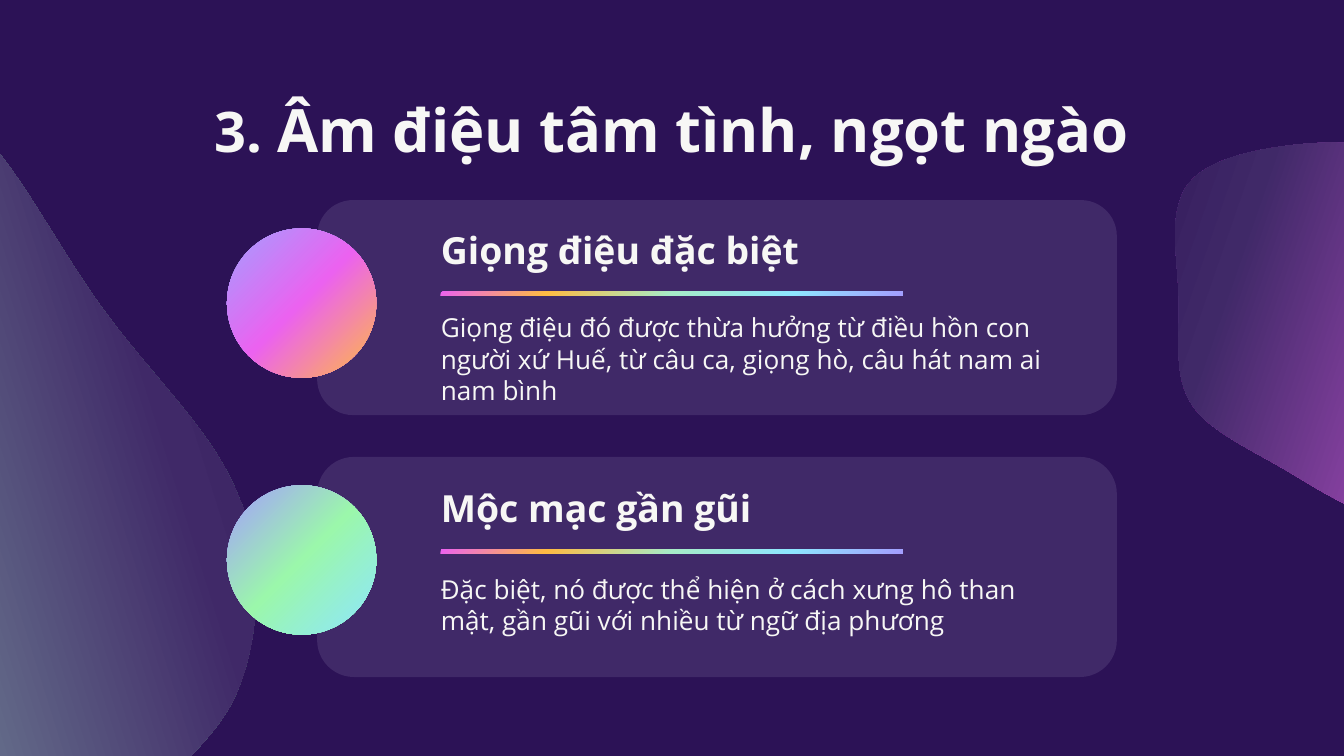
from math import cos, radians, sin

from lxml import etree
from pptx import Presentation
from pptx.dml.color import RGBColor
from pptx.enum.shapes import MSO_SHAPE
from pptx.enum.text import MSO_ANCHOR, MSO_AUTO_SIZE, PP_ALIGN
from pptx.oxml.ns import qn
from pptx.util import Pt

ROUNDED, OVAL, RECT = MSO_SHAPE.ROUNDED_RECTANGLE, MSO_SHAPE.OVAL, MSO_SHAPE.RECTANGLE
TOP, BOTTOM = MSO_ANCHOR.TOP, MSO_ANCHOR.BOTTOM
CENTER = PP_ALIGN.CENTER
NO_AUTOFIT = MSO_AUTO_SIZE.NONE

FONT = "Open Sans"
NIGHT, PLUM, PAPER = "2C1256", "402968", "F7F7F5"
RAINBOW = [(0, "EB62F0"), (23, "FFBB43"), (50, "A7ECC8"), (76, "8EE6FF"), (100, "A49EFF")]
SUNSET = [(0, "A49EFF"), (50, "EB62F0"), (100, "FFBB43")]
MEADOW = [(0, "A49EFF"), (50, "9BF7AB"), (100, "8EE6FF")]

LEFT_BLOB = [
    (1.82, 3.81), (1.81, 3.78), (1.8, 3.75), (1.78, 3.71), (1.59, 3.21), (1.15, 2.83),
    (0.75, 2.28), (0.36, 1.74), (0.02, 1.02), (-0.28, 0.91), (-0.59, 0.8), (-0.86, 1.29),
    (-1.13, 1.64), (-1.41, 1.98), (-1.68, 2.16), (-1.9, 2.51), (-2.11, 2.86), (-2.26, 3.37),
    (-2.25, 3.98), (-2.25, 4.33), (-2.19, 4.71), (-2.09, 5.05), (-2, 5.31), (-1.89, 5.55),
    (-1.75, 5.73), (-1.42, 6.14), (-0.94, 6.26), (-0.49, 6.63), (-0.04, 7), (0.37, 7.63),
    (0.59, 7.55), (0.81, 7.47), (0.85, 6.67), (1.03, 6.2), (1.21, 5.73), (1.53, 5.6),
    (1.73, 5.22), (1.91, 4.86), (1.97, 4.3), (1.82, 3.81)]
RIGHT_BLOB = [
    (11.45, 3.07), (11.48, 2.99), (11.5, 2.91), (11.5, 2.82), (11.51, 2.57), (11.38, 2.32),
    (11.29, 2.08), (11.19, 1.85), (11.12, 1.62), (10.96, 1.45), (10.81, 1.28), (10.58, 1.17),
    (10.33, 1.11), (10.08, 1.05), (9.82, 1.05), (9.54, 1.09), (9.25, 1.13), (8.94, 1.21),
    (8.82, 1.4), (8.8, 1.43), (8.79, 1.46), (8.78, 1.49), (8.71, 1.68), (8.76, 1.94),
    (8.77, 2.2), (8.78, 2.49), (8.73, 2.77), (8.85, 2.98), (8.96, 3.18), (9.24, 3.31),
    (9.52, 3.47), (9.8, 3.63), (10.07, 3.83), (10.36, 3.85), (10.64, 3.87), (10.93, 3.73),
    (11.15, 3.53), (11.29, 3.4), (11.4, 3.24), (11.45, 3.07)]


def color(hex_value):
    return RGBColor.from_string(hex_value)


def paint(shape, fill, angle=45):
    shape.shadow.inherit = False
    shape.line.fill.background()
    if isinstance(fill, str):
        shape.fill.solid()
        shape.fill.fore_color.rgb = color(fill)
        return
    shape.fill.gradient()
    gradient = shape._element.spPr.find(qn("a:gradFill"))
    stops = gradient.find(qn("a:gsLst"))
    for stop in list(stops):
        stops.remove(stop)
    for percent, hex_value in fill:
        stop = etree.SubElement(stops, qn("a:gs"), pos=str(percent * 1000))
        etree.SubElement(stop, qn("a:srgbClr"), val=hex_value)
    gradient.find(qn("a:lin")).set("ang", str(angle * 60000))


def place(shape, box):
    shape.left, shape.top, shape.width, shape.height = map(Pt, box)


def add_figure(slide, kind, box, fill):
    figure = slide.shapes.add_shape(kind, *map(Pt, box))
    paint(figure, fill)
    return figure


def write(holder, text, size, bold=False, anchor=TOP):
    frame = holder.text_frame
    frame.word_wrap = True
    frame.auto_size = NO_AUTOFIT
    frame.vertical_anchor = anchor
    frame.margin_left = frame.margin_right = Pt(7.2)
    frame.margin_top = frame.margin_bottom = Pt(7.2)
    paragraph = frame.paragraphs[0]
    paragraph.text = text
    font = paragraph.font
    font.name, font.size, font.bold = FONT, Pt(size), bold
    font.color.rgb = color(PAPER)
    return paragraph


def add_blob(slide, box, knots, rotation, glow, angle):
    left, top, width, height = box
    center_x, center_y = left + width / 2, top + height / 2
    turn = radians(-rotation)

    def upright(x, y):
        dx, dy = x * 72 - center_x, y * 72 - center_y
        return (width / 2 + dx * cos(turn) - dy * sin(turn),
                height / 2 + dx * sin(turn) + dy * cos(turn))

    outline = [upright(*knot) for knot in knots]
    builder = slide.shapes.build_freeform(*outline[0], scale=Pt(1))
    builder.add_line_segments(outline[3::3], close=True)
    blob = builder.convert_to_shape()
    place(blob, box)
    blob.rotation = rotation

    contour = blob._element.spPr.find(".//" + qn("a:path"))
    contour.set("w", str(Pt(width)))
    contour.set("h", str(Pt(height)))
    for segment in list(contour):
        contour.remove(segment)

    def add_segment(tag, points=()):
        segment = etree.SubElement(contour, qn(tag))
        for x, y in points:
            etree.SubElement(segment, qn("a:pt"), x=str(Pt(x)), y=str(Pt(y)))

    add_segment("a:moveTo", outline[:1])
    for start in range(1, len(outline), 3):
        add_segment("a:cubicBezTo", outline[start:start + 3])
    add_segment("a:close")
    paint(blob, [(0, glow), (71, PLUM), (100, NIGHT)], angle)


def add_title(slide, box, number, phrase):
    title = slide.shapes.title
    place(title, box)
    paragraph = write(title, number, 32, bold=True)
    paragraph.alignment = CENTER
    paragraph.runs[0].font.size = Pt(30)
    paragraph.add_run().text = phrase


def add_card(slide, box, heading, body, drop, body_offset, body_width, orb_fill):
    left, top, _, _ = box
    add_figure(slide, ROUNDED, box, PLUM).adjustments[0] = 0.167
    add_figure(slide, OVAL, (left - 48.3, top + 15.2, 80, 80), orb_fill)
    heading_box = (left + 59.2, top + 8.2 + drop, 316, 37.4)
    write(slide.shapes.add_textbox(*map(Pt, heading_box)), heading, 20, True, BOTTOM)
    body_box = (left + 59.2, top + body_offset, body_width, 62.6)
    write(slide.shapes.add_textbox(*map(Pt, body_box)), body, 14)
    add_figure(slide, RECT, (left + 66.2, top + 49.1 + drop, 247.4, 2.2), RAINBOW)


deck = Presentation()
deck.slide_width, deck.slide_height = Pt(720), Pt(405)
slide = deck.slides.add_slide(deck.slide_layouts[5])
slide.background.fill.solid()
slide.background.fill.fore_color.rgb = color(NIGHT)

add_blob(slide, (-258.5, 157.7, 489.6, 295.2), LEFT_BLOB, 72.6, "A7ECC8", 270)
add_blob(slide, (628.6, 64.1, 193, 219.6), RIGHT_BLOB, 109, "EB62F0", 90)
add_title(slide, (56.6, 42.5, 607, 44.6), "3. ", "Âm điệu tâm tình, ngọt ngào")
add_card(slide, (169.9, 107.2, 428.4, 115.2), "Giọng điệu đặc biệt",
         "Giọng điệu đó được thừa hưởng từ điều hồn con người xứ Huế, "
         "từ câu ca, giọng hò, câu hát nam ai nam bình", 0, 52.5, 350.6, SUNSET)
add_card(slide, (169.9, 244.8, 428.4, 117.9), "Mộc mạc gần gũi",
         "Đặc biệt, nó được thể hiện ở cách xưng hô than mật, "
         "gần gũi với nhiều từ ngữ địa phương", 0.5, 55, 341.3, MEADOW)

deck.save("out.pptx")
